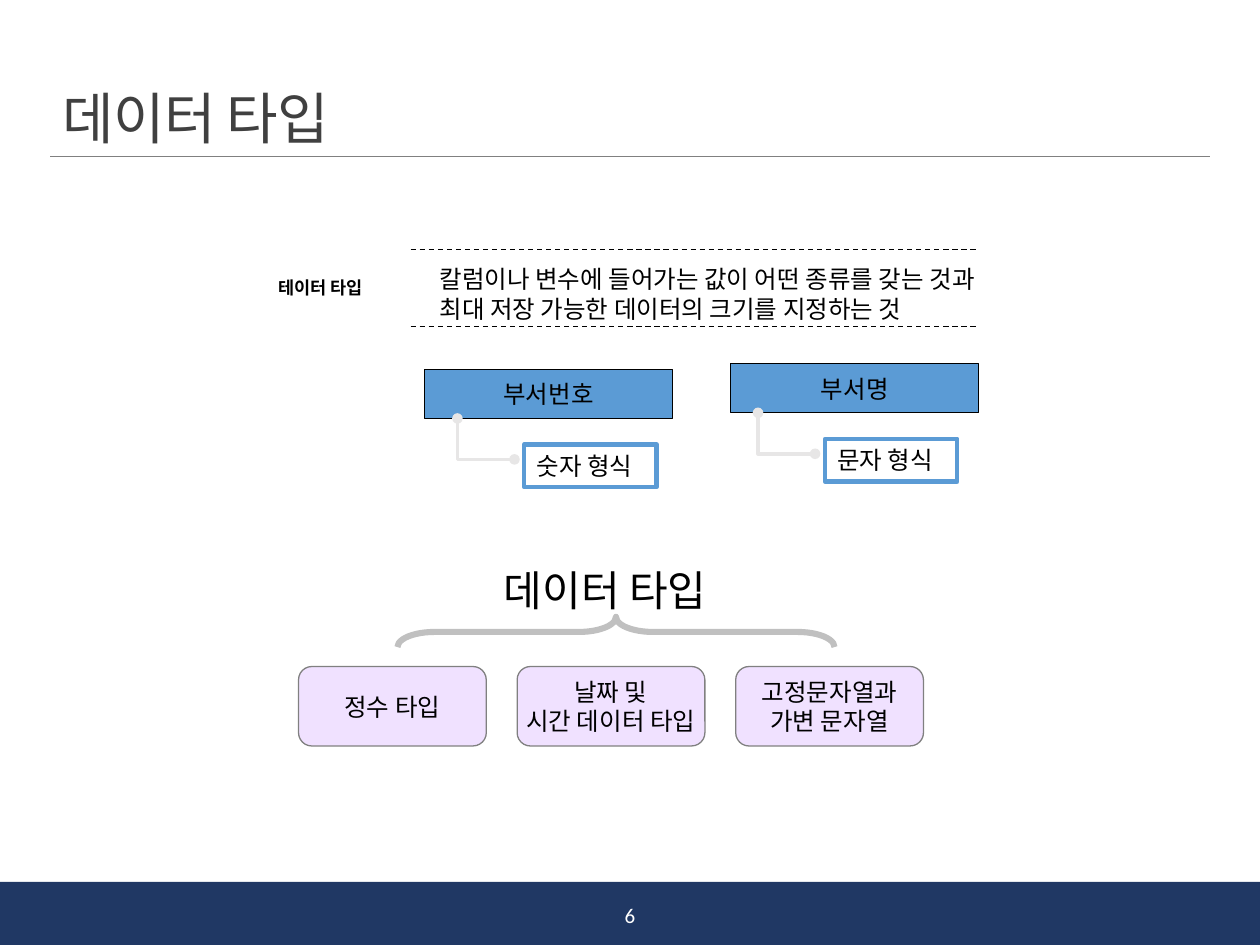
from dataclasses import dataclass

from lxml.etree import SubElement
from pptx import Presentation
from pptx.dml.color import RGBColor
from pptx.enum.dml import MSO_LINE
from pptx.enum.shapes import MSO_CONNECTOR, MSO_SHAPE
from pptx.enum.text import MSO_ANCHOR, PP_ALIGN
from pptx.oxml.ns import qn
from pptx.util import Pt


@dataclass(frozen=True)
class Theme:
    navy: str = "203864"
    blue: str = "5B9BD5"
    violet: str = "CC99FF"
    black: str = "000000"
    white: str = "FFFFFF"
    dark: str = "404040"
    gray: str = "808080"
    silver: str = "C0C0C0"
    pale: str = "E7E6E6"
    font: str = "Cabin"
    plain: str = "Calibri"
    hangul: str = "Noto Sans CJK KR"
    title: int = 32
    head: int = 24
    body: int = 14
    page: int = 12
    small: int = 10


theme = Theme()


def write(shape, text, size=theme.body, color=theme.black, font=theme.font,
          bold=False, align=PP_ALIGN.LEFT, anchor=MSO_ANCHOR.TOP, wrap=True):
    frame = shape.text_frame
    frame.word_wrap = wrap
    frame.vertical_anchor = anchor
    frame.text = text
    for para in frame.paragraphs:
        para.alignment = align
        for run in para.runs:
            run.font.name = font
            run.font.size = Pt(size)
            run.font.bold = bold
            run.font.color.rgb = RGBColor.from_string(color)
    return frame


def paint(shape, line=None, width=0.75, fill=None):
    """Set line and fill, and take the shadow away."""
    if hasattr(shape, "begin_x"):
        SubElement(shape.element.spPr, qn("a:effectLst"))
    else:
        shape.shadow.inherit = False
        if fill:
            shape.fill.solid()
            shape.fill.fore_color.rgb = RGBColor.from_string(fill)
        else:
            shape.fill.background()
    if line:
        shape.line.color.rgb = RGBColor.from_string(line)
        shape.line.width = Pt(width)
    else:
        shape.line.fill.background()


deck = Presentation()
deck.slide_width, deck.slide_height = Pt(720), Pt(540)
slide = deck.slides.add_slide(deck.slide_layouts[6])
shapes = slide.shapes

# Footer, title and rule
footer = shapes.add_shape(MSO_SHAPE.RECTANGLE, Pt(0), Pt(504), Pt(720), Pt(36))
paint(footer, fill=theme.navy)
rule = shapes.add_connector(MSO_CONNECTOR.STRAIGHT, Pt(28.8), Pt(89.3), Pt(691.2), Pt(89.3))
paint(rule, theme.gray, 0.5)
title = shapes.add_textbox(Pt(28.8), Pt(30.2), Pt(662.4), Pt(59.8))
frame = write(title, "데이터 타입", size=theme.title, color=theme.dark,
              font=theme.plain, anchor=MSO_ANCHOR.BOTTOM)
frame.paragraphs[0].line_spacing = 0.85
frame.paragraphs[0].runs[0].font._element.set("spc", "-50")
page = shapes.add_textbox(Pt(321.1), Pt(508.3), Pt(77.8), Pt(28.8))
write(page, "6", size=theme.page, color=theme.white, font=theme.plain,
      align=PP_ALIGN.CENTER, anchor=MSO_ANCHOR.MIDDLE)

# Definition between dashed lines
term = shapes.add_textbox(Pt(151.9), Pt(154.8), Pt(67), Pt(19.4))
write(term, "테이터 타입", size=theme.small, bold=True)
for y in (142.6, 186.5):
    dash = shapes.add_connector(MSO_CONNECTOR.STRAIGHT, Pt(234.7), Pt(y), Pt(558), Pt(y))
    paint(dash, theme.black)
    dash.line.dash_style = MSO_LINE.DASH
meaning = shapes.add_textbox(Pt(244.1), Pt(147.6), Pt(360.7), Pt(41))
write(meaning, "칼럼이나 변수에 들어가는 값이 어떤 종류를 갖는 것과\n"
               "최대 저장 가능한 데이터의 크기를 지정하는 것")

# Columns, each with an elbow to its format
columns = (("부서번호", "숫자 형식", 242.6, 211, 261.4),
           ("부서명", "문자 형식", 417.6, 207.8, 433.2))
run_x, drop = 32.6, 23.4
for name, kind, x, y, stem in columns:
    box = shapes.add_shape(MSO_SHAPE.RECTANGLE, Pt(x), Pt(y), Pt(141.8), Pt(28.1))
    paint(box, theme.black, fill=theme.blue)
    write(box, name, align=PP_ALIGN.CENTER, anchor=MSO_ANCHOR.MIDDLE, wrap=False)

    # The elbow is turned by 270 degrees, so its frame is drop wide and run_x high
    left = stem + (run_x - drop) / 2
    top = y + 28.1 + (drop - run_x) / 2
    elbow = shapes.add_connector(MSO_CONNECTOR.ELBOW, Pt(left), Pt(top),
                                 Pt(left + drop), Pt(top + run_x))
    paint(elbow, theme.pale, 2)
    props = elbow.element.spPr
    props.find(qn("a:prstGeom")).set("prst", "bentConnector2")
    frame = props.find(qn("a:xfrm"))
    frame.set("rot", "16200000")
    frame.set("flipH", "1")
    for end in ("a:headEnd", "a:tailEnd"):
        SubElement(props.find(qn("a:ln")), qn(end), type="oval")

    tag = shapes.add_shape(MSO_SHAPE.RECTANGLE, Pt(stem + 38.2), Pt(y + 43),
                           Pt(75.6), Pt(24.5))
    paint(tag, theme.blue, 2.5)
    write(tag, kind)

# Kinds of data type under a brace
head = shapes.add_textbox(Pt(280.8), Pt(319), Pt(143.3), Pt(36.7))
write(head, "데이터 타입", size=theme.head, font=theme.hangul)
brace = shapes.add_shape(MSO_SHAPE.RIGHT_BRACE, Pt(343.4), Pt(236.2), Pt(17.3), Pt(249.8))
brace.rotation = 270
brace.adjustments[0] = 1.223
paint(brace, theme.silver, 3.5)

cards = ("정수 타입", "날짜 및\n시간 데이터 타입", "고정문자열과\n가변 문자열")
for i, text in enumerate(cards):
    card = shapes.add_shape(MSO_SHAPE.ROUNDED_RECTANGLE, Pt(170.6 + 124.9 * i), Pt(380.9),
                            Pt(107.3), Pt(45.4))
    paint(card, theme.gray, fill=theme.violet)
    tint = card.element.spPr.find(qn("a:solidFill")).find(qn("a:srgbClr"))
    SubElement(tint, qn("a:alpha"), val="29000")
    write(card, text, align=PP_ALIGN.CENTER, anchor=MSO_ANCHOR.MIDDLE, wrap=False)

deck.save("out.pptx")
